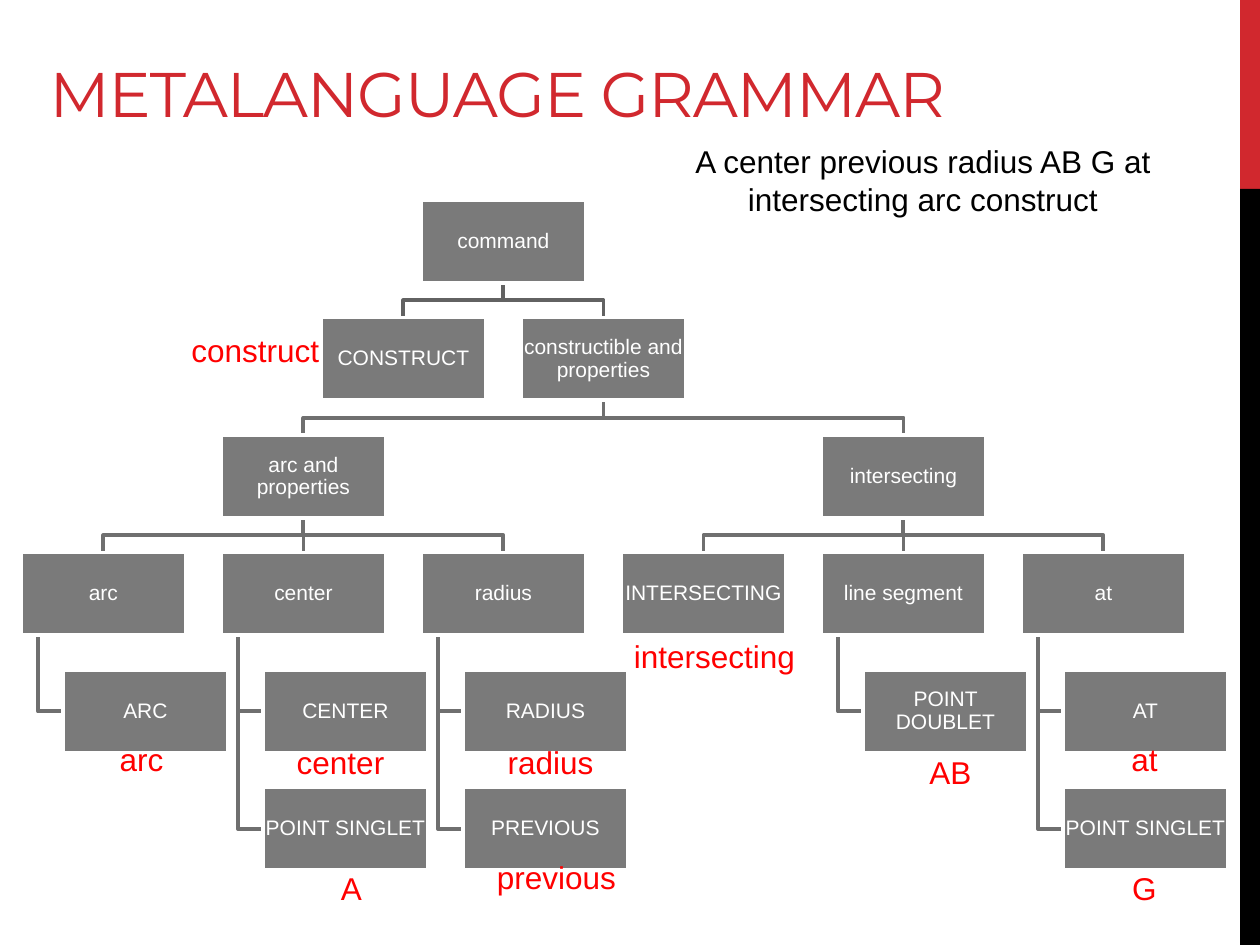
from dataclasses import dataclass

from lxml import etree
from pptx import Presentation
from pptx.dml.color import RGBColor
from pptx.enum.shapes import MSO_CONNECTOR, MSO_SHAPE
from pptx.enum.text import MSO_ANCHOR, MSO_AUTO_SIZE, PP_ALIGN
from pptx.oxml.ns import qn
from pptx.util import Pt

LEFT, CENTER = PP_ALIGN.LEFT, PP_ALIGN.CENTER
MIDDLE, BOTTOM = MSO_ANCHOR.MIDDLE, MSO_ANCHOR.BOTTOM
RECTANGLE, STRAIGHT = MSO_SHAPE.RECTANGLE, MSO_CONNECTOR.STRAIGHT

EMU_PER_PX = 914400 / 126
SLIDE_W, SLIDE_H = 1260, 945

# Tree grid: columns are counted in half box pitches
BOX_W, BOX_H = 165, 83
TREE_LEFT, TREE_TOP = 21, 200
HALF_PITCH, TWO_ROWS = 100, 235
HANG_INDENT, HANG_STEM = 42, 17


def px(length):
    return round(length * EMU_PER_PX)


@dataclass(frozen=True)
class Theme:
    accent: RGBColor = RGBColor(0xD1, 0x28, 0x2E)
    black: RGBColor = RGBColor(0, 0, 0)
    white: RGBColor = RGBColor(0xFF, 0xFF, 0xFF)
    box: RGBColor = RGBColor(0x7A, 0x7A, 0x7A)
    root_branch: RGBColor = RGBColor(0x62, 0x62, 0x62)
    branch: RGBColor = RGBColor(0x6F, 0x6F, 0x6F)
    token: RGBColor = RGBColor(0xFF, 0, 0)
    title_font: str = "Montserrat"
    body_font: str = "Arial"
    title_size: Pt = Pt(36)
    text_size: Pt = Pt(18)
    box_size: Pt = Pt(12)
    line_width: Pt = Pt(2.25)


@dataclass(frozen=True)
class Node:
    label: str
    column: int = 0
    children: tuple = ()
    leaves: tuple = ()


GRAMMAR = Node("command", 4, (
    Node("CONSTRUCT", 3),
    Node("constructible and properties", 5, (
        Node("arc and properties", 2, (
            Node("arc", 0, leaves=("ARC",)),
            Node("center", 2, leaves=("CENTER", "POINT SINGLET")),
            Node("radius", 4, leaves=("RADIUS", "PREVIOUS")),
        )),
        Node("intersecting", 8, (
            Node("INTERSECTING", 6),
            Node("line segment", 8, leaves=("POINT DOUBLET",)),
            Node("at", 10, leaves=("AT", "POINT SINGLET")),
        )),
    )),
))

# Word of the command, left, top, width, alignment
TOKENS = [
    ("construct", 179, 325, 157, LEFT),
    ("arc", 63, 734, 157, CENTER),
    ("radius", 472, 737, 157, CENTER),
    ("AB", 872, 747, 157, CENTER),
    ("intersecting", 620, 631, 189, CENTER),
    ("center", 262, 737, 157, CENTER),
    ("A", 273, 863, 157, CENTER),
    ("previous", 462, 852, 189, CENTER),
    ("at", 1050, 734, 189, CENTER),
    ("G", 1050, 863, 189, CENTER),
]


class SlideBuilder:
    def __init__(self, slide, theme):
        self.slide = slide
        self.shapes = slide.shapes
        self.theme = theme

    def fill_text(self, frame, text, font, size, color, align):
        frame.word_wrap = True
        paragraph = frame.paragraphs[0]
        paragraph.text = text
        paragraph.alignment = align
        paragraph.font.name = font
        paragraph.font.size = size
        paragraph.font.color.rgb = color
        return paragraph

    def title(self, text, left, top, width, height):
        title = self.shapes.title
        title.left, title.top = px(left), px(top)
        title.width, title.height = px(width), px(height)
        frame = title.text_frame
        frame.auto_size = MSO_AUTO_SIZE.NONE
        frame.vertical_anchor = BOTTOM
        paragraph = self.fill_text(frame, text, self.theme.title_font,
                                   self.theme.title_size, self.theme.accent, LEFT)
        paragraph.runs[0].font._element.set("spc", "-60")

    def block(self, left, top, width, height, fill):
        block = self.shapes.add_shape(RECTANGLE, px(left), px(top), px(width), px(height))
        block.shadow.inherit = False
        block.fill.solid()
        block.fill.fore_color.rgb = fill
        block.line.fill.background()
        return block

    def box(self, label, left, top):
        box = self.block(left, top, BOX_W, BOX_H, self.theme.box)
        box.line.color.rgb = self.theme.white
        box.line.width = self.theme.line_width
        frame = box.text_frame
        frame.margin_left = frame.margin_right = px(1)
        frame.margin_top = frame.margin_bottom = px(1)
        frame.vertical_anchor = MIDDLE
        paragraph = self.fill_text(frame, label, self.theme.body_font,
                                   self.theme.box_size, self.theme.white, CENTER)
        paragraph.line_spacing = 0.9

    def text(self, text, left, top, width, height, color, align=CENTER):
        label = self.shapes.add_textbox(px(left), px(top), px(width), px(height))
        self.fill_text(label.text_frame, text, self.theme.body_font,
                       self.theme.text_size, color, align)

    def branch(self, points, color):
        """Draw an open line through the points, straight or with corners."""
        start, *rest = [(px(x), px(y)) for x, y in points]
        if len(rest) == 1:
            line = self.shapes.add_connector(STRAIGHT, *start, *rest[0])
            etree.SubElement(line._element.spPr, qn("a:effectLst"))
        else:
            outline = self.shapes.build_freeform(*start, scale=1.0)
            outline.add_line_segments(rest, close=False)
            line = outline.convert_to_shape()
            line.fill.background()
            line.shadow.inherit = False
        line.line.color.rgb = color
        line.line.width = self.theme.line_width

    def tree(self, node, row=0):
        """Draw the branches below a node, then its box, then its descendants."""
        left, top = TREE_LEFT + node.column * HALF_PITCH, row_top(row)
        middle, bottom = left + BOX_W / 2, top + BOX_H
        child_top = row_top(row + 1)
        color = self.theme.branch if row else self.theme.root_branch
        for child in node.children:
            child_middle = middle + (child.column - node.column) * HALF_PITCH
            bend = (bottom + child_top) / 2
            corners = [] if child_middle == middle else [(middle, bend), (child_middle, bend)]
            self.branch([(middle, bottom), *corners, (child_middle, child_top)], color)
        for depth, leaf in enumerate(node.leaves, row + 1):
            stem, leaf_left = left + HANG_STEM, left + HANG_INDENT
            leaf_middle = row_top(depth) + BOX_H / 2
            self.branch([(stem, bottom), (stem, leaf_middle), (leaf_left, leaf_middle)], color)
            self.box(leaf, leaf_left, row_top(depth))
        self.box(node.label, left, top)
        for child in node.children:
            self.tree(child, row + 1)


def row_top(row):
    return TREE_TOP + row * TWO_ROWS / 2


def main():
    deck = Presentation()
    deck.slide_width, deck.slide_height = px(SLIDE_W), px(SLIDE_H)
    theme = Theme()
    builder = SlideBuilder(deck.slides.add_slide(deck.slide_layouts[5]), theme)

    builder.block(1240, 0, 20, 189, theme.accent)
    builder.block(1240, 189, 20, 756, theme.black)
    builder.title("METALANGUAGE GRAMMAR", 37, -53, 1056, 189)
    builder.tree(GRAMMAR)
    builder.text("A center previous radius AB G at intersecting arc construct",
                 651, 136, 544, 89, theme.black)
    for word, left, top, width, align in TOKENS:
        builder.text(word, left, top, width, 50, theme.token, align)

    deck.save("out.pptx")


if __name__ == "__main__":
    main()
